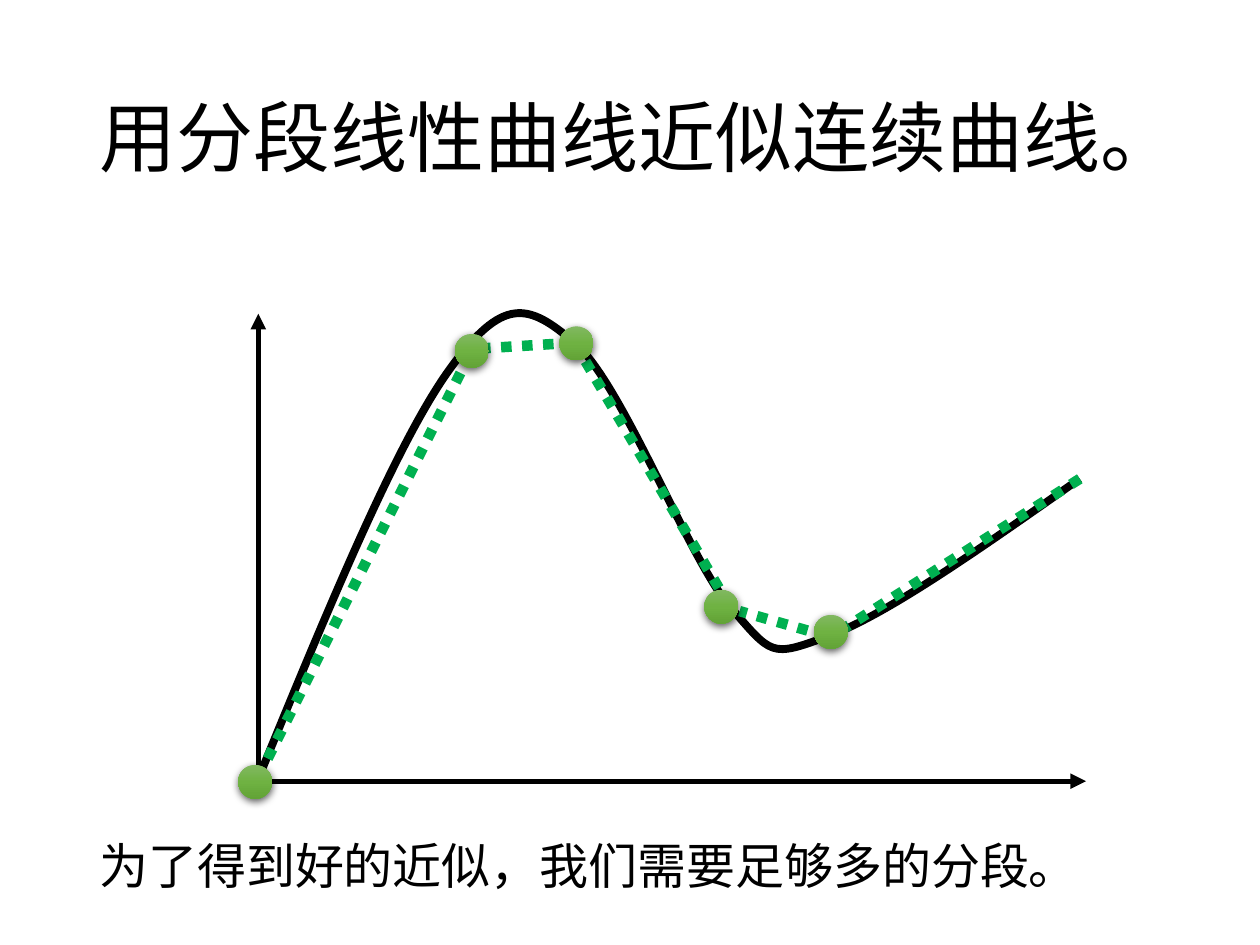
from copy import deepcopy
from dataclasses import dataclass

from lxml.etree import SubElement as Sub
from pptx import Presentation
from pptx.dml.color import RGBColor as RGB
from pptx.enum.dml import MSO_LINE as Dash
from pptx.enum.lang import MSO_LANGUAGE_ID as Lang
from pptx.enum.shapes import MSO_CONNECTOR as Link, MSO_SHAPE as Form
from pptx.enum.text import MSO_ANCHOR as Anchor, MSO_AUTO_SIZE as Fit
from pptx.oxml.ns import qn
from pptx.util import Pt

PX = 9144
FONT = "Calibri"
COLORS = {
    "ink": "000000",
    "chord": "00B050",
    "light": "81B861",
    "mid": "6FB242",
    "dark": "62A336",
}
DOT = 27

Point = tuple[int, int]


@dataclass
class Line:
    start: Point
    end: Point
    color: str
    width: float
    dotted: bool = False
    arrow: bool = False


@dataclass
class Label:
    text: str
    box: tuple[int, int, int, int]
    size: int
    title: bool = False


AXES = [
    Line((205, 620), end, "ink", 3, arrow=True)
    for end in [(862, 620), (205, 249)]
]
CHORDS = [
    Line(start, end, "chord", 6, dotted=True)
    for start, end in [
        ((205, 617), (375, 277)),
        ((456, 272), (375, 277)),
        ((579, 481), (456, 272)),
        ((657, 505), (587, 485)),
        ((857, 380), (660, 505)),
    ]
]
DOTS = [(361, 265), (444, 259), (559, 468), (646, 488), (189, 607)]
FRAME = [(205, 249), (858, 618)]
START = (205, 618)
CURVES = [
    [(260, 484), (315, 351), (357, 293)],
    [(399, 235), (419, 240), (456, 272)],
    [(493, 303), (546, 442), (579, 481)],
    [(613, 520), (611, 522), (657, 505)],
    [(704, 488), (780, 434), (857, 380)],
]
LABELS = [
    Label("为了得到好的近似，我们需要足够多的分段。", (69, 658, 807, 57), 28),
    Label("用分段线性曲线近似连续曲线。", (69, 40, 862, 145), 44, title=True),
]


def paint(name: str) -> RGB:
    return RGB.from_string(COLORS[name])


def draw_line(shapes, line: Line) -> None:
    ends = [n * PX for n in line.start + line.end]
    link = shapes.add_connector(Link.STRAIGHT, *ends)
    link.line.color.rgb = paint(line.color)
    link.line.width = Pt(line.width)
    if line.dotted:
        link.line.dash_style = Dash.ROUND_DOT
    props = link._element.spPr
    if line.arrow:
        Sub(props.find(qn("a:ln")), qn("a:tailEnd"), type="triangle")
    Sub(props, qn("a:effectLst"))


def draw_curve(shapes) -> None:
    left, top = FRAME[0]
    pen = shapes.build_freeform(left, top, scale=PX)
    pen.add_line_segments(FRAME[1:], close=False)
    curve = pen.convert_to_shape()
    curve.shadow.inherit = False
    curve.fill.background()
    curve.line.color.rgb = paint("ink")
    curve.line.width = Pt(4.5)
    track = next(curve._element.iter(qn("a:path")))
    for step in list(track):
        track.remove(step)
    steps = [("a:moveTo", [START])] + [("a:cubicBezTo", c) for c in CURVES]
    for tag, points in steps:
        step = Sub(track, qn(tag))
        for x, y in points:
            Sub(step, qn("a:pt"), x=str(x - left), y=str(y - top))


def draw_dot(shapes, spot: Point) -> None:
    x, y = spot
    dot = shapes.add_shape(Form.OVAL, x * PX, y * PX, DOT * PX, DOT * PX)
    dot.line.fill.background()
    dot.fill.gradient()
    dot.fill.gradient_angle = 270
    props = dot._element.spPr
    stops = next(props.iter(qn("a:gsLst")))
    stops.insert(1, deepcopy(stops[0]))
    for stop, name, place in zip(
        dot.fill.gradient_stops, ("light", "mid", "dark"), (0, 0.5, 1)
    ):
        stop.color.rgb = paint(name)
        stop.position = place
    dot.shadow.inherit = False
    shade = Sub(
        props.find(qn("a:effectLst")), qn("a:outerShdw"),
        blurRad=str(Pt(4.5)), dist=str(Pt(1.5)), dir="5400000",
        algn="ctr", rotWithShape="0",
    )
    tint = Sub(shade, qn("a:srgbClr"), val=COLORS["ink"])
    Sub(tint, qn("a:alpha"), val="63000")


def draw_label(shapes, label: Label) -> None:
    frame = shapes.add_textbox(*[n * PX for n in label.box]).text_frame
    frame.text = label.text
    frame.word_wrap = label.title
    line = frame.paragraphs[0]
    if label.title:
        frame.vertical_anchor = Anchor.MIDDLE
        line.line_spacing = 0.9
    else:
        frame.auto_size = Fit.SHAPE_TO_FIT_TEXT
    font = line.runs[0].font
    font.name = FONT
    font.size = Pt(label.size)
    font.color.rgb = paint("ink")
    font.language_id = Lang.SIMPLIFIED_CHINESE


def main() -> None:
    deck = Presentation()
    deck.slide_width, deck.slide_height = 1000 * PX, 750 * PX
    shapes = deck.slides.add_slide(deck.slide_layouts[6]).shapes
    for axis in AXES:
        draw_line(shapes, axis)
    draw_curve(shapes)
    for chord in CHORDS:
        draw_line(shapes, chord)
    for spot in DOTS:
        draw_dot(shapes, spot)
    for label in LABELS:
        draw_label(shapes, label)
    deck.save("out.pptx")


if __name__ == "__main__":
    main()
